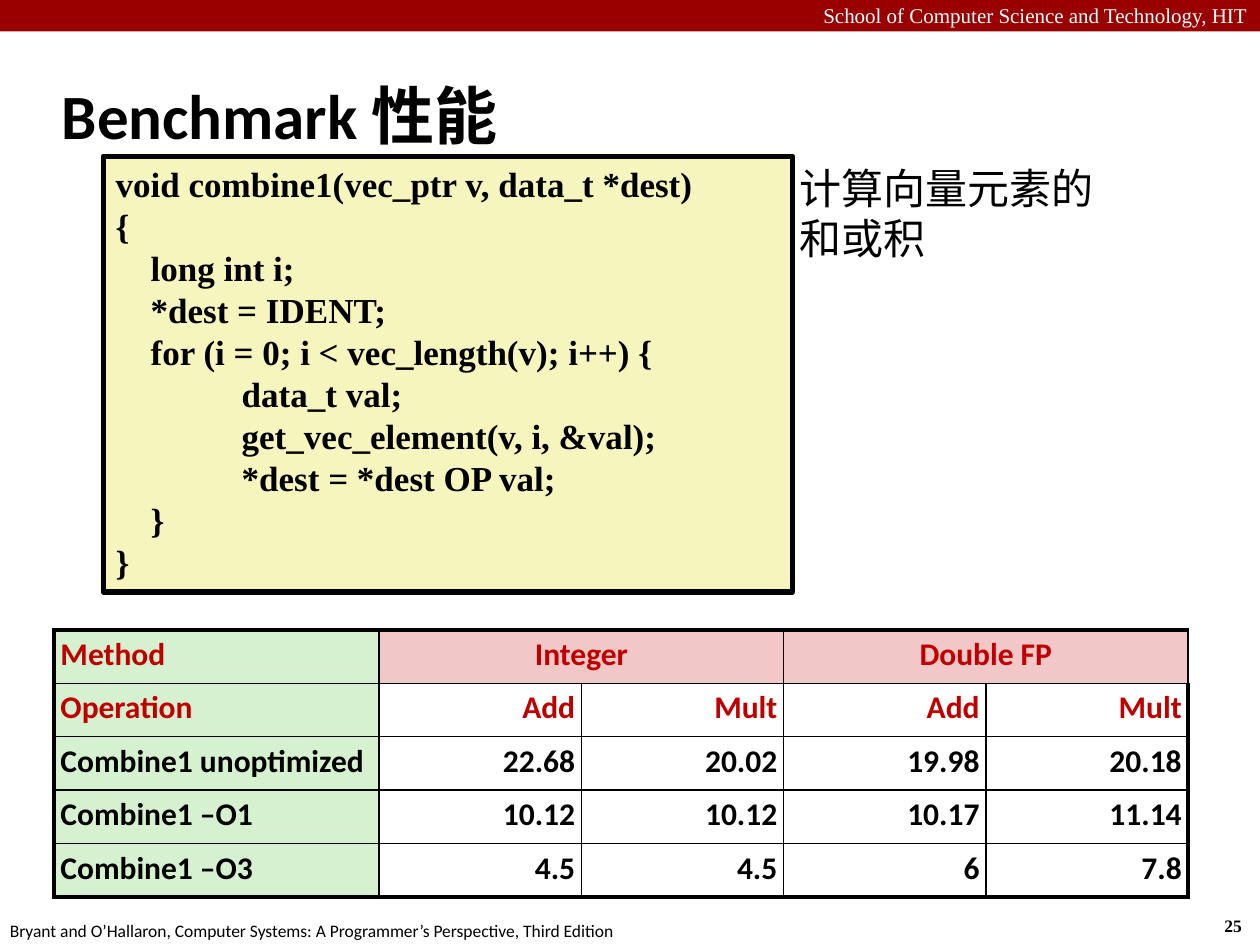
import pptx
import pptx.util
import pptx.dml.color
import pptx.enum.shapes
import pptx.enum.text
import pptx.oxml.ns
import lxml.etree

Inches = pptx.util.Inches
Pt = pptx.util.Pt
ALIGN = pptx.enum.text.PP_ALIGN
ANCHOR = pptx.enum.text.MSO_ANCHOR

# Content
TITLE = "Benchmark 性能"
SCHOOL = "School of Computer Science and Technology, HIT"
SOURCE = "Bryant and O’Hallaron, Computer Systems: A Programmer’s Perspective, Third Edition"
PAGE_NUMBER = "25"
CODE = [
    "void combine1(vec_ptr v, data_t *dest)",
    "{",
    "    long int i;",
    "    *dest = IDENT;",
    "    for (i = 0; i < vec_length(v); i++) {",
    "\tdata_t val;",
    "\tget_vec_element(v, i, &val);",
    "\t*dest = *dest OP val;",
    "    }",
    "}",
]
CODE_NOTE = "计算向量元素的和或积"
RESULTS = [
    ["Method", "Integer", "", "Double FP", ""],
    ["Operation", "Add", "Mult", "Add", "Mult"],
    ["Combine1 unoptimized", "22.68", "20.02", "19.98", "20.18"],
    ["Combine1 –O1", "10.12", "10.12", "10.17", "11.14"],
    ["Combine1 –O3", "4.5", "4.5", "6", "7.8"],
]

# Style
COLORS = {
    "band": "990000", "white": "FFFFFF", "black": "000000", "code": "F6F5BD",
    "label": "D5F1CF", "group": "F1C7C7", "heading": "C00000",
}
SANS, SERIF = "Calibri", "Times New Roman"
TABLE_LEFT, TABLE_TOP, TABLE_WIDTH = 0.43, 5, 9
LABEL_WIDTH, ROW_HEIGHT = 2.58, 0.424
CODE_TABS = (1, 2.5)
THIN, THICK = 1, 2.25


def color(name):
    return pptx.dml.color.RGBColor.from_string(COLORS[name])


def box(left, top, width, height):
    return [Inches(value) for value in (left, top, width, height)]


def write(frame, text, size, font=SANS, ink="black", bold=False,
          align=ALIGN.LEFT, line_spacing=None, tabs=()):
    """Fill a text frame with one paragraph for each line."""
    lines = text if isinstance(text, list) else [text]
    for index, line in enumerate(lines):
        paragraph = frame.paragraphs[0] if index == 0 else frame.add_paragraph()
        paragraph.alignment = align
        if line_spacing:
            paragraph.line_spacing = line_spacing
        if tabs:
            properties = paragraph._p.get_or_add_pPr()
            tab_list = lxml.etree.SubElement(properties, pptx.oxml.ns.qn("a:tabLst"))
            for stop in tabs:
                lxml.etree.SubElement(tab_list, pptx.oxml.ns.qn("a:tab"),
                                      pos=str(Inches(stop)), algn="l")
        run = paragraph.add_run()
        run.text = line
        run.font.name, run.font.size, run.font.bold = font, Pt(size), bold
        run.font.color.rgb = color(ink)


def add_text(slide, place, text, wrap=True, **style):
    frame = slide.shapes.add_textbox(*box(*place)).text_frame
    frame.word_wrap = wrap
    write(frame, text, **style)


def add_box(slide, place, fill, line_width=0):
    shape = slide.shapes.add_shape(pptx.enum.shapes.MSO_SHAPE.RECTANGLE, *box(*place))
    shape.shadow.inherit = False
    shape.fill.solid()
    shape.fill.fore_color.rgb = color(fill)
    if line_width:
        shape.line.color.rgb = color("black")
        shape.line.width = Pt(line_width)
    else:
        shape.line.fill.background()
    return shape


def set_borders(cell, widths):
    """Draw the left, right, top and bottom borders; call before filling the cell."""
    properties = cell._tc.get_or_add_tcPr()
    for side, width in zip("LRTB", widths):
        line = lxml.etree.SubElement(properties, pptx.oxml.ns.qn("a:ln" + side),
                                     w=str(Pt(width)))
        fill = lxml.etree.SubElement(line, pptx.oxml.ns.qn("a:solidFill"))
        lxml.etree.SubElement(fill, pptx.oxml.ns.qn("a:srgbClr"), val=COLORS["black"])


def add_results(slide):
    row_count, column_count = len(RESULTS), len(RESULTS[0])
    table = slide.shapes.add_table(
        row_count, column_count,
        *box(TABLE_LEFT, TABLE_TOP, TABLE_WIDTH, row_count * ROW_HEIGHT)).table
    value_width = (TABLE_WIDTH - LABEL_WIDTH) / (column_count - 1)
    for index, column in enumerate(table.columns):
        column.width = Inches(value_width if index else LABEL_WIDTH)

    for r, row in enumerate(RESULTS):
        for c, text in enumerate(row):
            cell = table.cell(r, c)
            outer = (c == 0, c == column_count - 1, r == 0, r == row_count - 1)
            set_borders(cell, [THICK if edge else THIN for edge in outer])
            cell.margin_left = cell.margin_right = Inches(0.05)
            cell.margin_top = cell.margin_bottom = Inches(0.05)
            fill = "label" if c == 0 else "group" if r == 0 else None
            if fill:
                cell.fill.solid()
                cell.fill.fore_color.rgb = color(fill)
            else:
                cell.fill.background()
            if text:
                align = ALIGN.LEFT if c == 0 else ALIGN.CENTER if r == 0 else ALIGN.RIGHT
                write(cell.text_frame, text, size=18, bold=True, align=align,
                      ink="heading" if r < 2 else "black", line_spacing=0.95)

    # Each number type spans its two operations
    for first in range(1, column_count, 2):
        table.cell(0, first).merge(table.cell(0, first + 1))


def main():
    presentation = pptx.Presentation()
    presentation.slide_width, presentation.slide_height = Inches(10), Inches(7.5)
    slide = presentation.slides.add_slide(presentation.slide_layouts[5])

    # Header band and footer
    add_box(slide, (0, 0, 10, 0.25), "band")
    add_text(slide, (0, -0.03, 10, 0.3), SCHOOL, size=12, font=SERIF,
             ink="white", align=ALIGN.RIGHT)
    add_text(slide, (9.62, 7.21, 0.37, 0.27), PAGE_NUMBER, wrap=False,
             size=10, font=SERIF, bold=True)
    add_text(slide, (-0.02, 7.25, 5.08, 0.27), SOURCE, wrap=False, size=10)

    # Title
    title = slide.shapes.title
    title.left, title.top, title.width, title.height = box(0.39, 0.49, 8.3, 0.83)
    title.text_frame.vertical_anchor = ANCHOR.MIDDLE
    write(title.text_frame, TITLE, size=36, bold=True)

    # Code and its explanation
    code = add_box(slide, (0.82, 1.24, 5.47, 3.46), "code", line_width=3)
    code.text_frame.word_wrap = True
    code.text_frame.vertical_anchor = ANCHOR.TOP
    write(code.text_frame, CODE, size=20, font=SERIF, bold=True, tabs=CODE_TABS)
    add_text(slide, (6.25, 1.24, 2.67, 0.91), CODE_NOTE, size=24)

    # Benchmark results
    add_results(slide)
    presentation.save("out.pptx")


if __name__ == "__main__":
    main()
